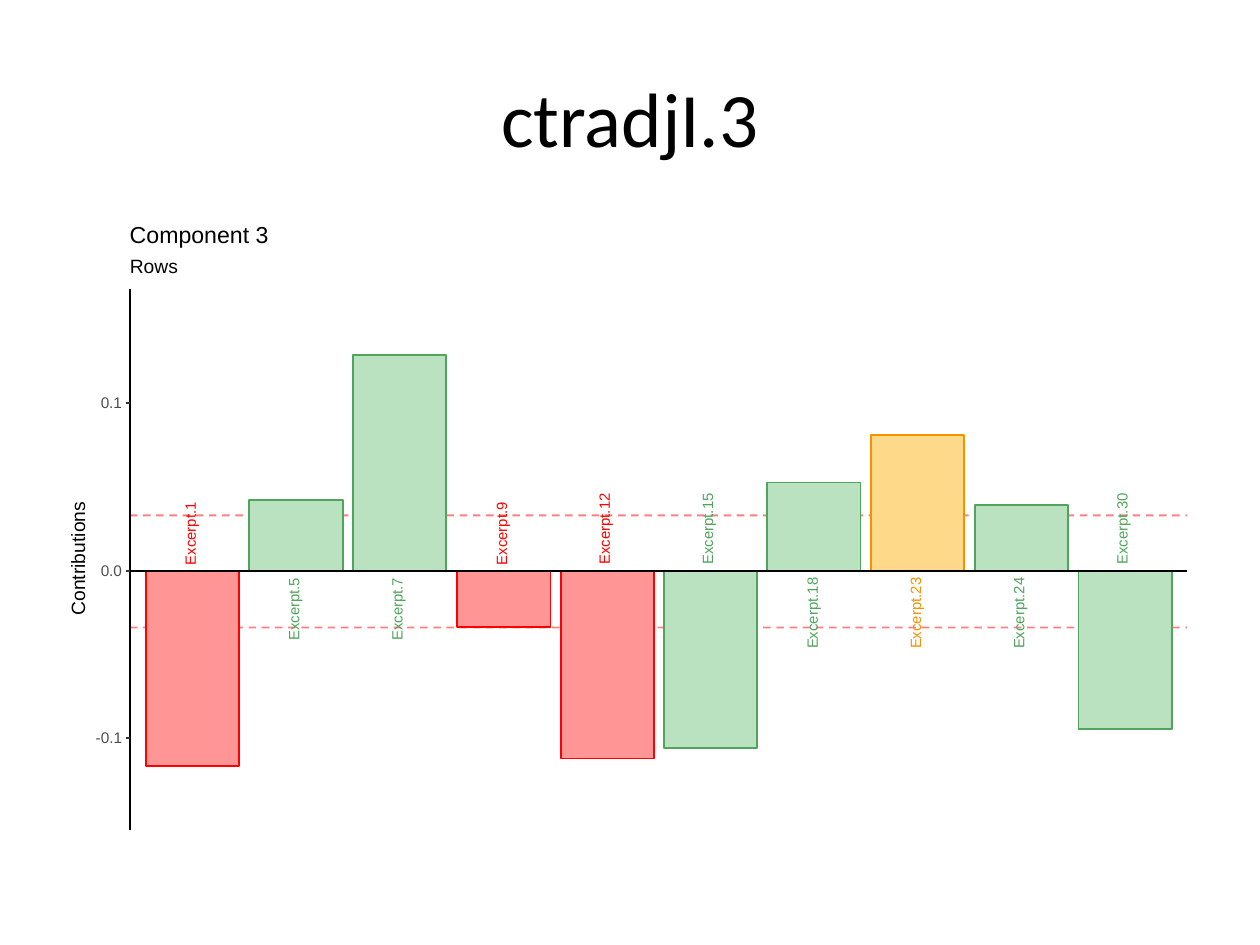
from lxml import etree
from pptx import Presentation, util as u
from pptx.dml import color
from pptx.enum import dml, shapes, text
from pptx.oxml import ns

PX = 9144  # EMU per px, 100 px to the inch
RED, GREEN, ORANGE = ("FF9595", "FF0000"), ("BAE1C0", "50A45C"), ("FFD98A", "F69100")

ZERO_Y, UNIT = 453, 133  # UNIT is the height of 0.1 on the value axis
AXIS_LEFT, AXIS_RIGHT, AXIS_TOP, AXIS_BOTTOM = 103, 942, 229, 659
LIMIT_LINES = (409, 498)
FIRST_BAR, BAR_STEP, BAR_WIDTH = 116, 82.2, 74
LABEL_GAP, LABEL_SHIFT = 5, 36

BARS = [  # excerpt number, signed height, colours
    (1, -155, RED), (5, 56, GREEN), (7, 171, GREEN), (9, -45, RED),
    (12, -149, RED), (15, -141, GREEN), (18, 70, GREEN), (23, 108, ORANGE),
    (24, 52, GREEN), (30, -126, GREEN),
]


def rgb(value):
    return color.RGBColor.from_string(value)


def px(*lengths):
    return [u.Emu(round(length) * PX) for length in lengths]


def assign(target, values):
    for name, value in values.items():
        setattr(target, name, value)


class ChartSlide:
    font = "Arial"
    line_width = u.Pt(1.07)
    frame_format = dict(margin_left=0, margin_right=0, margin_top=0, margin_bottom=0,
                        word_wrap=False, vertical_anchor=text.MSO_ANCHOR.MIDDLE)

    def __init__(self, deck):
        self.page = deck.slides.add_slide(deck.slide_layouts[5])

    def title(self, words, left, top, width, height):
        box = self.page.shapes.title
        assign(box, dict(zip(("left", "top", "width", "height"), px(left, top, width, height))))
        box.text_frame.vertical_anchor = text.MSO_ANCHOR.MIDDLE
        para = box.text_frame.paragraphs[0]
        para.alignment = text.PP_ALIGN.CENTER
        self.span(para, words, 44, "000000", "Calibri")

    def span(self, para, words, size, ink, font):
        span = para.add_run()
        span.text = words
        assign(span.font, dict(size=u.Pt(size), name=font))
        span.font.color.rgb = rgb(ink)

    def label(self, words, left, top, width, height, size, ink="000000", rotation=0):
        box = self.page.shapes.add_textbox(*px(left, top, width, height))
        box.rotation = rotation
        assign(box.text_frame, self.frame_format)
        para = box.text_frame.paragraphs[0]
        para.line_spacing = u.Pt(size)
        self.span(para, words, size, ink, self.font)

    def upright(self, words, center_x, center_y, length, size, ink="000000"):
        """Add a label that reads from bottom to top around its centre."""
        self.label(words, center_x - length / 2, center_y - 5.5, length, 11, size, ink, 270)

    def rectangle(self, left, top, width, height, fill, outline):
        box = self.page.shapes.add_shape(shapes.MSO_SHAPE.RECTANGLE,
                                         *px(left, top, width, height))
        box.shadow.inherit = False
        box.fill.solid()
        box.fill.fore_color.rgb = rgb(fill)
        box.line.color.rgb = rgb(outline)
        box.line.width = self.line_width

    def line(self, x1, y1, x2, y2, ink="000000", dash=None, opacity=100):
        rule = self.page.shapes.add_connector(shapes.MSO_CONNECTOR.STRAIGHT,
                                              *px(x1, y1, x2, y2))
        rule.line.color.rgb = rgb(ink)
        assign(rule.line, dict(width=self.line_width, dash_style=dash))
        properties = rule._element.spPr
        etree.SubElement(properties, ns.qn("a:effectLst"))
        if opacity < 100:
            ink_node = properties.find(".//" + ns.qn("a:srgbClr"))
            etree.SubElement(ink_node, ns.qn("a:alpha"), val=str(opacity * 1000))


def add_bars(slide):
    for index, (_, height, (fill, outline)) in enumerate(BARS):
        left = FIRST_BAR + index * BAR_STEP
        slide.rectangle(left, ZERO_Y - max(height, 0), BAR_WIDTH, abs(height), fill, outline)


def add_bar_labels(slide):
    """Name each bar on the other side of the zero line."""
    for index, (number, height, (_, ink)) in enumerate(BARS):
        length = 50 if number < 10 else 57
        offset = LABEL_GAP + length / 2
        center_y = ZERO_Y + (offset if height > 0 else -offset)
        center_x = FIRST_BAR + index * BAR_STEP + LABEL_SHIFT
        slide.upright(f"Excerpt.{number}", center_x, center_y, length, 8.5, ink)


def add_axes(slide):
    slide.line(AXIS_LEFT, ZERO_Y, AXIS_RIGHT, ZERO_Y)
    slide.line(AXIS_LEFT, AXIS_BOTTOM, AXIS_LEFT, AXIS_TOP)
    for step, words, width in ((-1, "-0.1", 21), (0, "0.0", 17), (1, "0.1", 17)):
        y = ZERO_Y - step * UNIT
        slide.label(words, AXIS_LEFT - 6 - width, y - 4, width, 9, 8.8, "4D4D4D")
        slide.line(AXIS_LEFT - 3, y, AXIS_LEFT, y, "333333")


def main():
    deck = Presentation()
    deck.slide_width, deck.slide_height = px(1000, 750)
    slide = ChartSlide(deck)
    slide.title("ctradjI.3", 50, 30, 900, 125)
    slide.rectangle(50, 175, 900, 495, "FFFFFF", "FFFFFF")
    for y in LIMIT_LINES:
        slide.line(AXIS_LEFT, y, AXIS_RIGHT, y, "FF0000", dml.MSO_LINE.DASH, 50)
    add_bars(slide)
    add_bar_labels(slide)
    add_axes(slide)
    slide.upright("Contributions", 63, 441, 94, 11)
    slide.label("Rows", AXIS_LEFT, 207, 42, 11, 11)
    slide.label("Component 3", AXIS_LEFT, 179, 114, 17, 13.2)
    deck.save("out.pptx")


if __name__ == "__main__":
    main()
